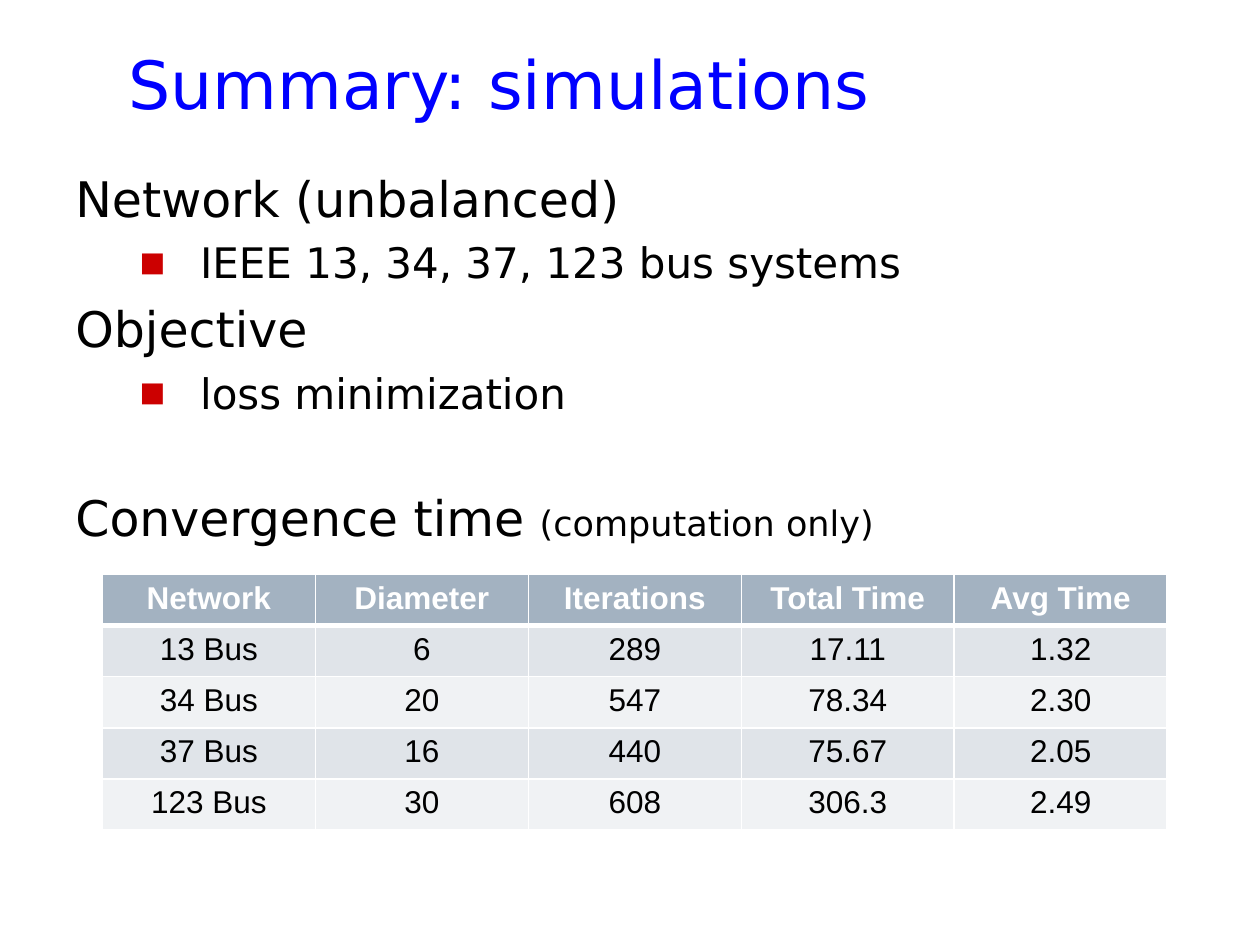
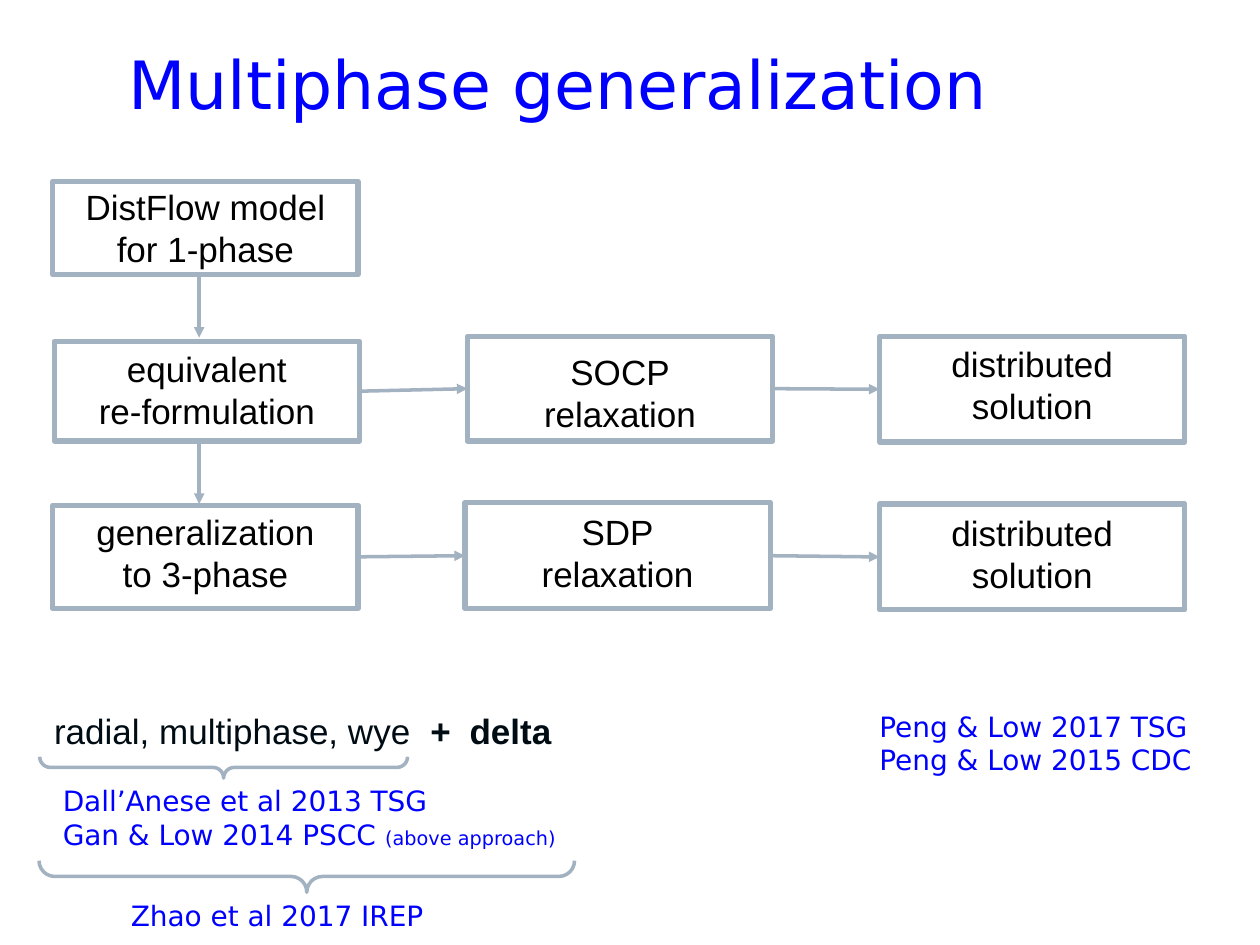
import pptx
import pptx.util
import pptx.dml.color
import pptx.enum.shapes
import pptx.enum.text
import pptx.oxml
import pptx.oxml.ns
import lxml.etree

Pt = pptx.util.Pt
qn = pptx.oxml.ns.qn
rgb = pptx.dml.color.RGBColor.from_string
SHAPE = pptx.enum.shapes.MSO_SHAPE
CENTER = pptx.enum.text.PP_ALIGN.CENTER
TOP = pptx.enum.text.MSO_ANCHOR.TOP

SANS, ARIAL = "DejaVu Sans", "Arial"
BLUE, STEEL, RED = "0000FF", "A3B2C1", "CC0000"
BLACK, WHITE, INK = "000000", "FFFFFF", "000C14"


def add_run(p, text, size=20, font=ARIAL, color=BLACK, bold=False):
    r = p.add_run()
    r.text = text
    r.font.size = Pt(size)
    r.font.name = font
    r.font.color.rgb = rgb(color)
    r.font.bold = bold


def add_sub(parent, tag, **attrs):
    return lxml.etree.SubElement(parent, qn(tag), attrs)


prs = pptx.Presentation()
prs.slide_width, prs.slide_height = Pt(720), Pt(540)

# Slides with their titles
for title in ("Summary: simulations", "Multiphase generalization"):
    s = prs.slides.add_slide(prs.slide_layouts[5])
    sp = s.shapes.title
    sp.left, sp.top, sp.width, sp.height = Pt(66), Pt(18), Pt(636), Pt(66)
    tf = sp.text_frame
    tf.vertical_anchor = TOP
    tf.margin_top = Pt(6.5)
    p = tf.paragraphs[0]
    p.alignment = pptx.enum.text.PP_ALIGN.LEFT
    add_run(p, title, size=38, font=SANS, color=BLUE)

# Slide 1: outline (text, level, space before)
s = prs.slides[0]
tf = s.shapes.add_textbox(Pt(36), Pt(90), Pt(678), Pt(398)).text_frame
tf.word_wrap = True
tf.margin_top = Pt(6)
outline = [
    ("Network (unbalanced)", 0, 0),
    ("IEEE 13, 34, 37, 123 bus systems", 1, 5.5),
    ("Objective", 0, 6.8),
    ("loss minimization", 1, 5.5),
    ("Convergence time ", 0, 40.2),
]
for i, (text, level, before) in enumerate(outline):
    p = tf.add_paragraph() if i else tf.paragraphs[0]
    p.space_before = Pt(before)
    if level:
        pPr = p._p.get_or_add_pPr()
        pPr.set("marL", str(Pt(71.3)))
        pPr.set("indent", str(-Pt(34.6)))
        add_sub(add_sub(pPr, "a:buClr"), "a:srgbClr", val=RED)
        add_sub(pPr, "a:buSzPct", val="65000")
        add_sub(pPr, "a:buFont", typeface=SANS)
        add_sub(pPr, "a:buChar", char="■")
    add_run(p, text, size=24 if level else 28, font=SANS)
add_run(p, "(computation only)", size=20, font=SANS)

# Slide 1: convergence table
rows = [
    ("Network", "Diameter", "Iterations", "Total Time", "Avg Time"),
    ("13 Bus", "6", "289", "17.11", "1.32"),
    ("34 Bus", "20", "547", "78.34", "2.30"),
    ("37 Bus", "16", "440", "75.67", "2.05"),
    ("123 Bus", "30", "608", "306.3", "2.49"),
]
table = s.shapes.add_table(5, 5, Pt(58.5), Pt(328.3), Pt(608.5), Pt(146)).table
for i, row in enumerate(rows):
    for j, text in enumerate(row):
        cell = table.cell(i, j)
        p = cell.text_frame.paragraphs[0]
        p.alignment = CENTER
        add_run(p, text, size=18, color=BLACK if i else WHITE, bold=i == 0)
        tcPr = cell._tc.get_or_add_tcPr()
        for side in "LRTB":
            thick = (i == 0 and side == "B") or (i == 1 and side == "T")
            ln = add_sub(tcPr, f"a:ln{side}", w=str(Pt(3 if thick else 1)))
            add_sub(add_sub(ln, "a:solidFill"), "a:srgbClr", val=WHITE)
        cell.fill.solid()
        cell.fill.fore_color.rgb = rgb(
            STEEL if i == 0 else "E0E4E9" if i % 2 else "F0F2F4")

# Slide 2: flow boxes (left, top, height, top inset, lines)
s = prs.slides[1]
flow = {
    "model": (30.2, 103.7, 53.3, 2.2, ("DistFlow model", "for 1-phase")),
    "equivalent": (31, 195.1, 56.9, 3.6, ("equivalent", "re-formulation")),
    "socp": (267.1, 192.2, 59.8, 7.9, ("SOCP", "relaxation")),
    "solution1": (502.6, 192.2, 60.5, 3.6, ("distributed", "solution")),
    "general": (30.2, 288.7, 59, 2.9, ("generalization", "to 3-phase")),
    "sdp": (265.7, 287.3, 60.5, 4.3, ("SDP", "relaxation")),
    "solution2": (502.6, 288, 60.5, 4.3, ("distributed", "solution")),
}
boxes = {}
for name, (x, y, h, inset, lines) in flow.items():
    sp = s.shapes.add_shape(SHAPE.RECTANGLE, Pt(x), Pt(y), Pt(174.5), Pt(h))
    sp.shadow.inherit = False
    sp.fill.background()
    sp.line.color.rgb = rgb(STEEL)
    sp.line.width = Pt(3)
    tf = sp.text_frame
    tf.word_wrap = True
    tf.vertical_anchor = TOP
    tf.margin_top, tf.margin_bottom = Pt(inset), 0
    for i, text in enumerate(lines):
        p = tf.add_paragraph() if i else tf.paragraphs[0]
        p.alignment = CENTER
        add_run(p, text)
    boxes[name] = sp

# Slide 2: arrows, down the first column and across each row
STRAIGHT = pptx.enum.shapes.MSO_CONNECTOR.STRAIGHT
arrows = [s.shapes.add_connector(STRAIGHT, Pt(113.8), Pt(y1), Pt(113.8), Pt(y2))
          for y1, y2 in ((156.5, 193), (252, 288))]
for a, b in (("equivalent", "socp"), ("socp", "solution1"),
             ("general", "sdp"), ("sdp", "solution2")):
    c = s.shapes.add_connector(STRAIGHT, 0, 0, 0, 0)
    c.begin_connect(boxes[a], 3)
    c.end_connect(boxes[b], 1)
    arrows.append(c)
for c in arrows:
    c.line.color.rgb = rgb(STEEL)
    c.line.width = Pt(2)
    add_sub(c.line._get_or_add_ln(), "a:tailEnd", type="triangle")
    add_sub(c._element.spPr, "a:effectLst")

# Slide 2: braces opening upwards (centre x, centre y, thickness, span)
for cx, cy, w, h in ((127.8, 438.5, 12.2, 210.2), (175.3, 500.8, 18, 306)):
    sp = s.shapes.add_shape(SHAPE.LEFT_BRACE, Pt(cx - w / 2), Pt(cy - h / 2),
                            Pt(w), Pt(h))
    sp.rotation = 270
    sp.adjustments[0], sp.adjustments[1] = 0.497, 0.5
    sp.shadow.inherit = False
    sp.fill.background()
    sp.line.color.rgb = rgb(STEEL)
    sp.line.width = Pt(2)

# Slide 2: network scope, with tab stops before the bold words
tf = s.shapes.add_textbox(Pt(23.8), Pt(401.8), Pt(302), Pt(31.7)).text_frame
tf.word_wrap = True
p = tf.paragraphs[0]
tabs = add_sub(p._p.get_or_add_pPr(), "a:tabLst")
for pos in (215, 237.5):
    add_sub(tabs, "a:tab", pos=str(Pt(pos)), algn="l")
add_run(p, "radial, multiphase, wye", color=INK)
add_run(p, "\t+\tdelta", color=INK, bold=True)

# Slide 2: references
references = [
    (28.8, 444.2, 414.7, 54.7,
     ("Dall’Anese et al 2013 TSG", "Gan & Low 2014 PSCC "), "(above approach)"),
    (67.7, 509.8, 218.9, 30, ("Zhao et al 2017 IREP",), ""),
    (495.4, 401.8, 200.9, 54,
     ("Peng & Low 2017 TSG", "Peng & Low 2015 CDC"), ""),
]
for x, y, w, h, lines, remark in references:
    tf = s.shapes.add_textbox(Pt(x), Pt(y), Pt(w), Pt(h)).text_frame
    tf.word_wrap = True
    for i, text in enumerate(lines):
        p = tf.add_paragraph() if i else tf.paragraphs[0]
        add_run(p, text, size=16, font=SANS, color=BLUE)
    if remark:
        add_run(p, remark, size=11, font=SANS, color=BLUE)

prs.save("out.pptx")
